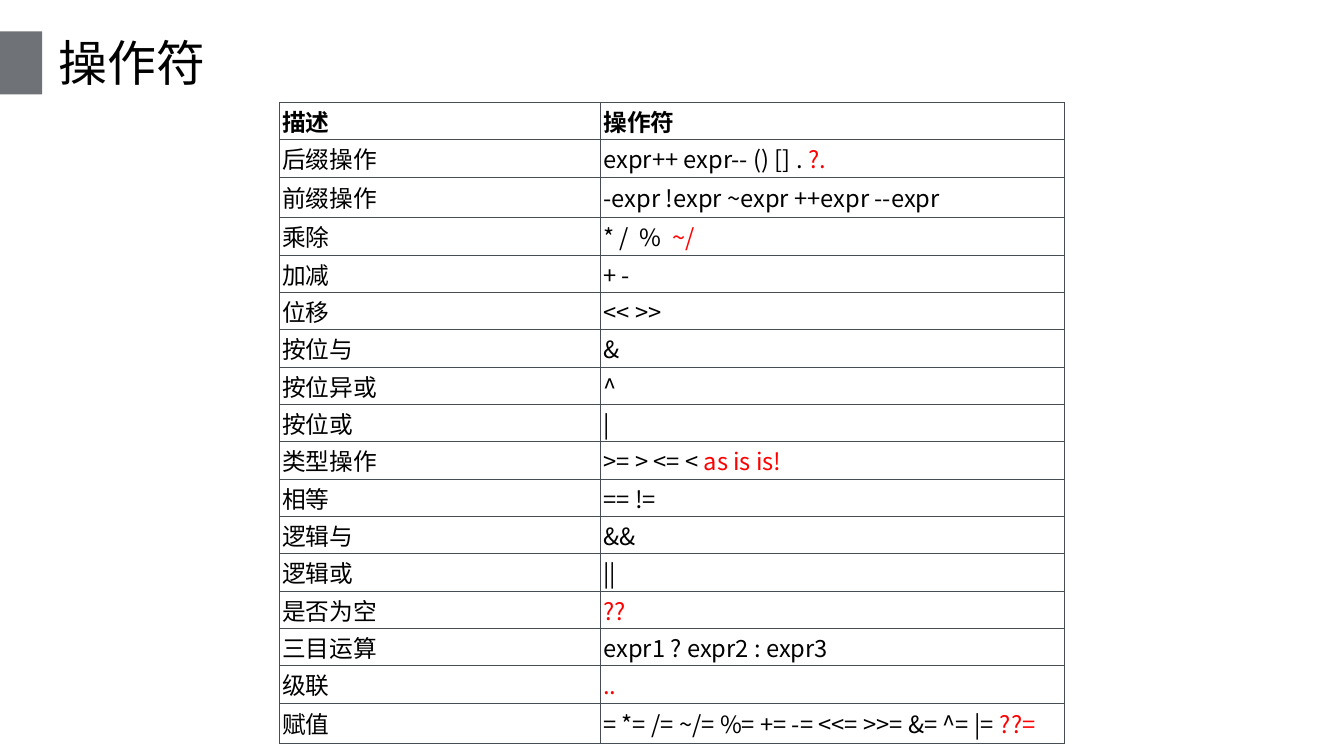
from pptx import Presentation
from pptx.dml.color import RGBColor
from pptx.enum.shapes import MSO_SHAPE
from pptx.enum.text import MSO_ANCHOR
from pptx.oxml.ns import qn
from pptx.util import Pt
from lxml.etree import SubElement

BLACK = RGBColor(0x00, 0x00, 0x00)
WHITE = RGBColor(0xFF, 0xFF, 0xFF)
RED = RGBColor(0xFF, 0x00, 0x00)
GREY = RGBColor(0x6F, 0x73, 0x78)
BORDER = RGBColor(0x47, 0x4D, 0x54)

HEADER = ("描述", "操作符", "")
OPERATORS = [
    ("后缀操作", "expr++ expr-- () [] . ", "?."),
    ("前缀操作", "-expr !expr ~expr ++expr --expr", ""),
    ("乘除", "* /  %  ", "~/"),
    ("加减", "+ -", ""),
    ("位移", "<< >>", ""),
    ("按位与", "&", ""),
    ("按位异或", "^", ""),
    ("按位或", "|", ""),
    ("类型操作", ">= > <= < ", "as is is!"),
    ("相等", "== !=", ""),
    ("逻辑与", "&&", ""),
    ("逻辑或", "||", ""),
    ("是否为空", "", "??"),
    ("三目运算", "expr1 ? expr2 : expr3", ""),
    ("级联", "", ".."),
    ("赋值", "= *= /= ~/= %= += -= <<= >>= &= ^= |= ", "??="),
]
TALL_ROWS = {"前缀操作", "赋值"}


class SlideBuilder:
    font = "Noto Sans CJK SC"

    def __init__(self, slide):
        self.slide = slide

    def text(self, tf, size, plain, red="", bold=False):
        p = tf.paragraphs[0]
        p.font.size = Pt(size)
        p.font.name = self.font
        p.font.bold = bold
        props = p._p.get_or_add_pPr().get_or_add_defRPr()
        SubElement(props, qn("a:ea"), typeface=self.font)
        for content, color in ((plain, BLACK), (red, RED)):
            if content:
                r = p.add_run()
                r.text = content
                r.font.color.rgb = color

    def bar(self, x, y, w, h, color):
        s = self.slide.shapes.add_shape(MSO_SHAPE.RECTANGLE, Pt(x), Pt(y), Pt(w), Pt(h))
        s.shadow.inherit = False
        s.fill.solid()
        s.fill.fore_color.rgb = color
        s.line.fill.background()

    def title(self, x, y, w, h, text, size):
        tf = self.slide.shapes.add_textbox(Pt(x), Pt(y), Pt(w), Pt(h)).text_frame
        tf.word_wrap = True
        tf.vertical_anchor = MSO_ANCHOR.MIDDLE
        tf.margin_left = Pt(22)
        self.text(tf, size, text)

    def border(self, cell):
        props = cell._tc.get_or_add_tcPr()
        for i, side in enumerate(("lnL", "lnR", "lnT", "lnB")):
            ln = props.makeelement(qn(f"a:{side}"), {"w": str(Pt(0.75))})
            fill = SubElement(ln, qn("a:solidFill"))
            SubElement(fill, qn("a:srgbClr"), val=str(BORDER))
            props.insert(i, ln)

    def cell(self, cell, plain, red="", bold=False):
        cell.fill.solid()
        cell.fill.fore_color.rgb = WHITE
        cell.vertical_anchor = MSO_ANCHOR.MIDDLE
        cell.margin_left = cell.margin_right = Pt(3.6)
        cell.margin_top = cell.margin_bottom = Pt(2.2)
        self.border(cell)
        self.text(cell.text_frame, 32, plain, red, bold)

    def table(self, x, y, widths, rows, row_h, tall_h):
        heights = [tall_h if row[0] in TALL_ROWS else row_h for row in rows]
        table = self.slide.shapes.add_table(
            len(rows), len(widths), Pt(x), Pt(y), Pt(sum(widths)), Pt(sum(heights))
        ).table
        table.first_row = table.horz_banding = False
        for column, width in zip(table.columns, widths):
            column.width = Pt(width)
        for i, (name, plain, red) in enumerate(rows):
            table.rows[i].height = Pt(heights[i])
            self.cell(table.cell(i, 0), name, bold=i == 0)
            self.cell(table.cell(i, 1), plain, red, bold=i == 0)


prs = Presentation()
prs.slide_width, prs.slide_height = Pt(1814.4), Pt(1020.3)
page = SlideBuilder(prs.slides.add_slide(prs.slide_layouts[6]))
page.bar(0, 42.5, 57, 85, GREY)
page.title(57, 41, 1700, 86.4, "操作符", 66)
page.table(377.3, 138.2, (433.7, 626), [HEADER] + OPERATORS, 50.4, 54.7)
prs.save("out.pptx")
